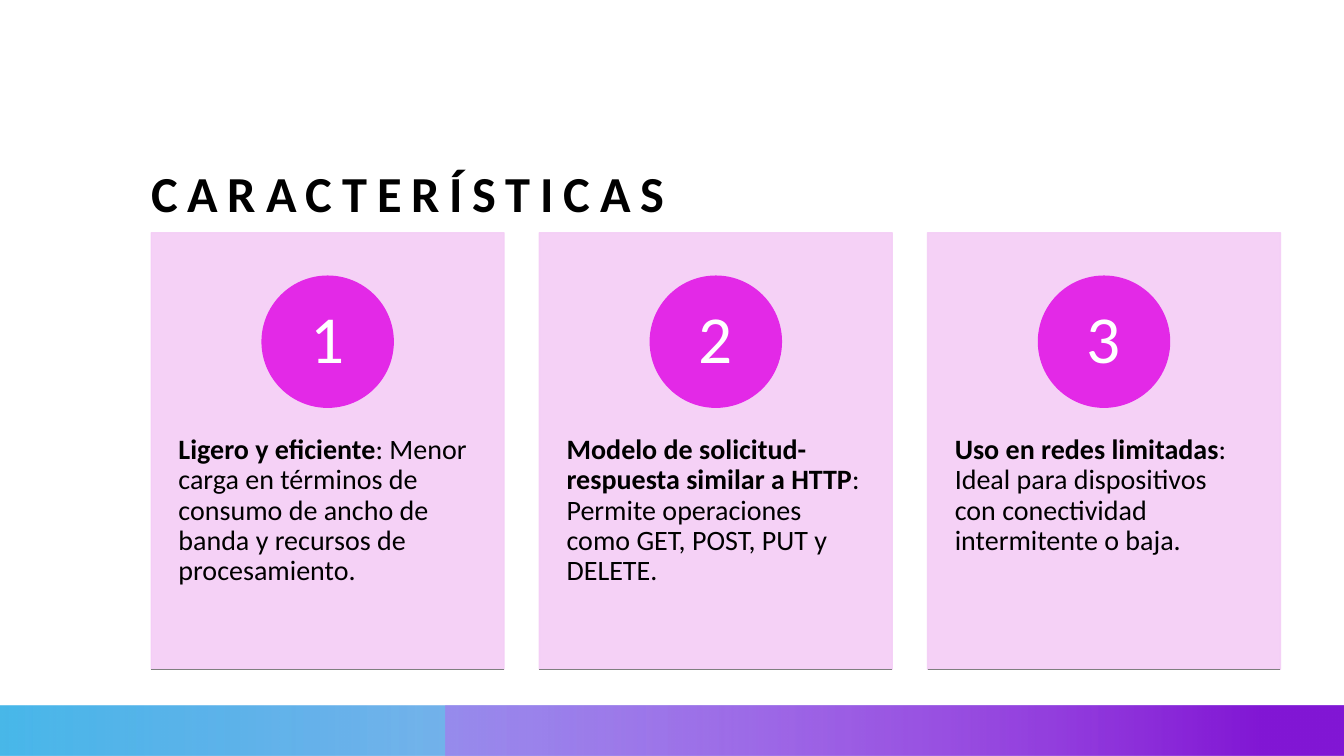
from lxml import etree
from pptx import Presentation
from pptx.dml.color import RGBColor
from pptx.enum import shapes, text
from pptx.oxml.ns import qn
from pptx.util import Inches, Pt

FONT = "Calibri"
PINK, ROSE, BLACK, WHITE, GRAY = "E329E7", "F4CDF6", "000000", "FFFFFF", "7F7F7F"
KIND = shapes.MSO_SHAPE

CARDS = [
    ("Ligero y eficiente",
     ": Menor carga en términos de consumo de ancho de banda y recursos de procesamiento."),
    ("Modelo de solicitud-respuesta similar a HTTP",
     ": Permite operaciones como GET, POST, PUT y DELETE."),
    ("Uso en redes limitadas",
     ": Ideal para dispositivos con conectividad intermitente o baja."),
]
LEFT, TOP, WIDE, HIGH, STEP = 1.5, 2.31, 3.5, 4.33, 3.85
DISC = 1.3


def rgb(code):
    return RGBColor.from_string(code)


def box(*at):
    return [Inches(v) for v in at]


def fade(shape, alphas):
    """Set the opacity, in percent, of each colour of a shape in turn."""
    for tint, part in zip(shape._element.spPr.iter(qn("a:srgbClr")), alphas):
        etree.SubElement(tint, qn("a:alpha"), val=str(part * 1000))


def style(run, size, color, bold=False):
    font = run.font
    font.name, font.size, font.bold = FONT, Pt(size), bold
    font.color.rgb = rgb(color)


def inset(frame, side, edge):
    frame.margin_left = frame.margin_right = Inches(side)
    frame.margin_top = frame.margin_bottom = Inches(edge)
    frame.word_wrap = True


def plain(slide, kind, at, color):
    shape = slide.shapes.add_shape(kind, *box(*at))
    shape.shadow.inherit = False
    shape.fill.solid()
    shape.fill.fore_color.rgb = rgb(color)
    shape.line.color.rgb = rgb(color)
    shape.line.width = Pt(1)
    return shape


def band(slide, at, stops):
    """Draw a footer band with a left-to-right gradient."""
    shape = slide.shapes.add_shape(KIND.RECTANGLE, *box(*at))
    shape.shadow.inherit = False
    shape.line.fill.background()
    shape.fill.gradient()
    shape.fill.gradient_angle = 0
    for stop, (place, color, _) in zip(shape.fill.gradient_stops, stops):
        stop.position = place
        stop.color.rgb = rgb(color)
    fade(shape, [part for _, _, part in stops])


def title(slide, words):
    head = slide.shapes.title
    head.left, head.top, head.width, head.height = box(1.5, 0.87, 11.2, 1.35)
    frame = head.text_frame
    frame.text = words
    inset(frame, 0, 0)
    frame.auto_size = text.MSO_AUTO_SIZE.NONE
    frame.vertical_anchor = text.MSO_ANCHOR.BOTTOM
    line = frame.paragraphs[0]
    line.alignment = text.PP_ALIGN.LEFT
    line.line_spacing = 0.9
    style(line.runs[0], 36, BLACK, True)
    line.runs[0].font._element.set("spc", "700")


def disc(slide, left, num):
    at = (left + (WIDE - DISC) / 2, 2.74, DISC, DISC)
    shape = plain(slide, KIND.OVAL, at, PINK)
    frame = shape.text_frame
    frame.text = str(num)
    inset(frame, 0.1, 0.01)
    frame.vertical_anchor = text.MSO_ANCHOR.MIDDLE
    line = frame.paragraphs[0]
    line.alignment = text.PP_ALIGN.CENTER
    line.line_spacing = 0.9
    style(line.runs[0], 48, WHITE)


def card(slide, left, num, lead, rest):
    # Panel
    panel = plain(slide, KIND.RECTANGLE, (left, TOP, WIDE, HIGH), ROSE)
    fade(panel, [90, 90])

    # Description
    note = slide.shapes.add_textbox(*box(left, 3.96, WIDE, 2.6))
    frame = note.text_frame
    inset(frame, 0.27, 0.36)
    line = frame.paragraphs[0]
    line.line_spacing = 0.9
    for words, bold in ((lead, True), (rest, False)):
        run = line.add_run()
        run.text = words
        style(run, 20, BLACK, bold)

    # Number and base line
    disc(slide, left, num)
    base = TOP + HIGH
    rule = slide.shapes.add_connector(
        shapes.MSO_CONNECTOR.STRAIGHT, *box(left, base, left + WIDE, base))
    rule.line.color.rgb = rgb(GRAY)
    rule.line.width = Pt(0.75)
    etree.SubElement(rule._element.spPr, qn("a:effectLst"))


def main():
    deck = Presentation()
    deck.slide_width, deck.slide_height = box(13.33, 7.5)
    slide = deck.slides.add_slide(deck.slide_layouts[5])

    # Footer bands
    band(slide, (0, 7, 13.33, 0.5), [(0, "29ACE7", 85), (0.86, "174BD5", 28)])
    band(slide, (4.42, 7, 8.91, 0.5), [(0.01, "B56BEF", 55), (0.91, "8217D5", 100)])

    # Title and cards
    title(slide, "CARACTERÍSTICAS")
    for i, (lead, rest) in enumerate(CARDS):
        card(slide, LEFT + i * STEP, i + 1, lead, rest)

    deck.save("out.pptx")


if __name__ == "__main__":
    main()
